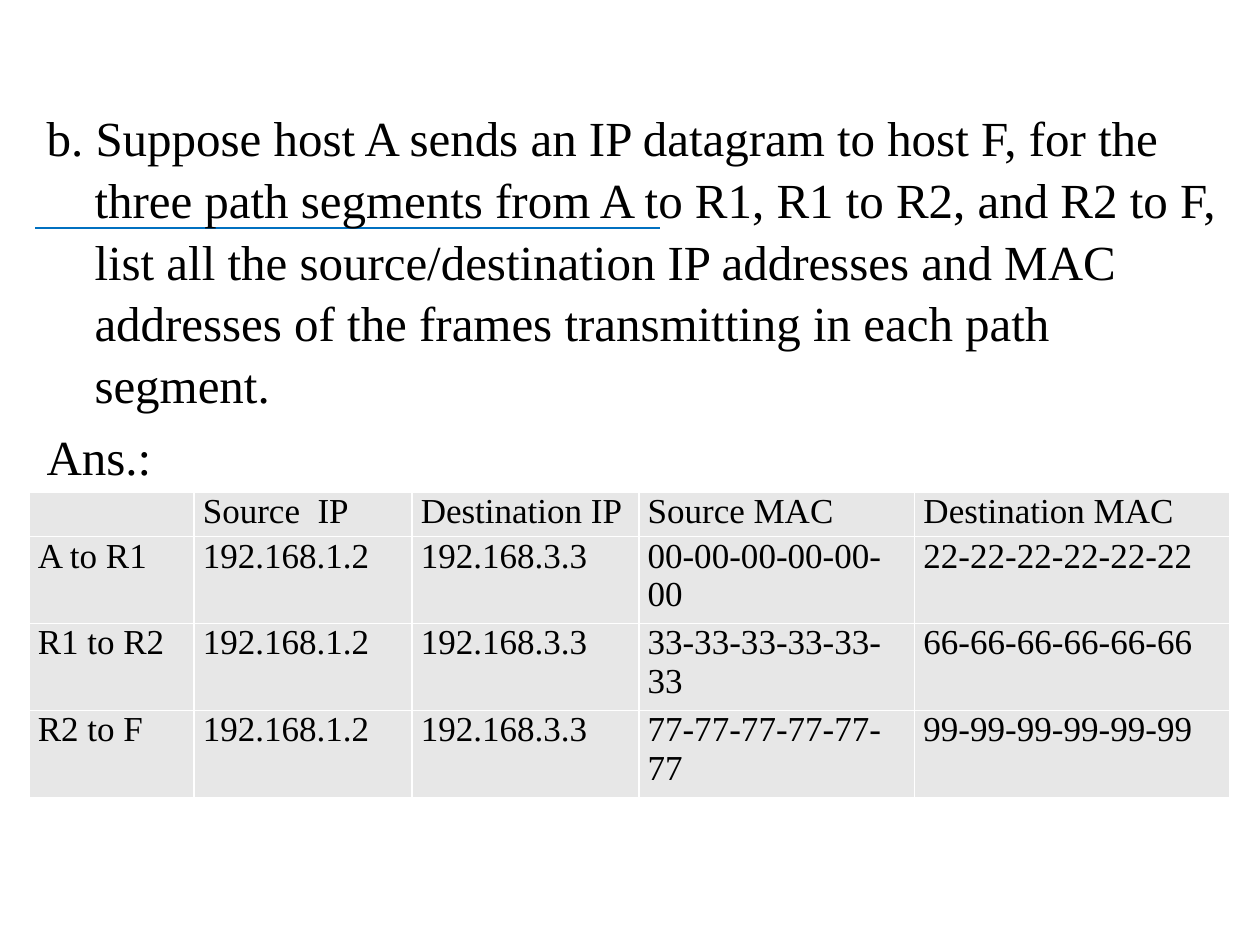
from dataclasses import dataclass

from lxml import etree
from pptx import Presentation
from pptx import util as u
from pptx.dml.color import RGBColor
from pptx.enum import shapes, text
from pptx.oxml import ns


@dataclass(frozen=True)
class Theme:
    font: str = "Times New Roman"
    ink: str = "000000"
    rule: str = "0070C0"
    cell: str = "E7E7E7"
    edge: str = "FFFFFF"
    body: int = 28
    small: int = 20


THEME = Theme()

LINES = [
    "b. Suppose host A sends an IP datagram to host F, for the three path "
    "segments from A to R1, R1 to R2, and R2 to F, list all the "
    "source/destination IP addresses and MAC addresses of the frames "
    "transmitting in each path segment.",
    "Ans.:",
]
HEAD = ["", "Source  IP", "Destination IP", "Source MAC", "Destination MAC"]
# Path segment, first byte pair of the source MAC and of the destination MAC
HOPS = [("A to R1", "00", "22"), ("R1 to R2", "33", "66"), ("R2 to F", "77", "99")]
WIDTHS = [1.31, 1.73, 1.8, 2.19, 2.5]
HEIGHTS = [0.35, 0.69, 0.69, 0.69]


def add_run(para, words, size):
    run = para.add_run()
    run.text = words
    run.font.name = THEME.font
    run.font.size = u.Pt(size)
    run.font.color.rgb = RGBColor.from_string(THEME.ink)


def mac(pair):
    return "-".join([pair] * 6)


def add_rule(slide, left, top, width):
    line = slide.shapes.add_connector(
        shapes.MSO_CONNECTOR.STRAIGHT,
        u.Inches(left), u.Inches(top), u.Inches(left + width), u.Inches(top))
    line.line.color.rgb = RGBColor.from_string(THEME.rule)
    line.line.width = u.Pt(1.25)
    props = line._element.spPr
    etree.SubElement(props, ns.qn("a:effectLst"))
    # Keep the rule behind the text
    slide.shapes._spTree.insert(2, line._element)


def fill_body(slide, left, top, width, height):
    body = slide.placeholders[1]
    body.left, body.top = u.Inches(left), u.Inches(top)
    body.width, body.height = u.Inches(width), u.Inches(height)
    frame = body.text_frame
    frame.word_wrap = True
    frame.auto_size = text.MSO_AUTO_SIZE.NONE
    for i, words in enumerate(LINES):
        para = frame.add_paragraph() if i else frame.paragraphs[0]
        para.line_spacing = 1.05
        para.space_before = u.Pt(0.2 * THEME.body if i else 0)
        # Hanging indent without a bullet
        props = para._p.get_or_add_pPr()
        props.set("marL", str(u.Inches(0.38)))
        props.set("indent", str(u.Inches(-0.38)))
        etree.SubElement(props, ns.qn("a:buNone"))
        add_run(para, words, THEME.body)


def style_cell(cell):
    cell.margin_left = cell.margin_right = u.Inches(0.07)
    cell.margin_top = cell.margin_bottom = 0
    props = cell._tc.get_or_add_tcPr()
    # Borders come before the fill
    for side in ("lnL", "lnR", "lnT", "lnB"):
        edge = etree.SubElement(props, ns.qn("a:" + side), w=str(u.Pt(1)))
        solid = etree.SubElement(edge, ns.qn("a:solidFill"))
        etree.SubElement(solid, ns.qn("a:srgbClr"), val=THEME.edge)
    cell.fill.solid()
    cell.fill.fore_color.rgb = RGBColor.from_string(THEME.cell)


def add_grid(slide, left, top):
    rows = [HEAD] + [
        [hop, "192.168.1.2", "192.168.3.3", mac(src), mac(dest)]
        for hop, src, dest in HOPS]
    grid = slide.shapes.add_table(
        len(rows), len(HEAD), u.Inches(left), u.Inches(top),
        u.Inches(sum(WIDTHS)), u.Inches(sum(HEIGHTS))).table
    for col, width in zip(grid.columns, WIDTHS):
        col.width = u.Inches(width)
    for row, height, words in zip(grid.rows, HEIGHTS, rows):
        row.height = u.Inches(height)
        for cell, word in zip(row.cells, words):
            style_cell(cell)
            if word:
                para = cell.text_frame.paragraphs[0]
                para.alignment = text.PP_ALIGN.JUSTIFY
                add_run(para, word, THEME.small)


def main():
    deck = Presentation()
    deck.slide_width, deck.slide_height = u.Inches(10), u.Inches(7.5)
    slide = deck.slides.add_slide(deck.slide_layouts[1])
    # This slide has body text but no title
    title = slide.shapes.title._element
    title.getparent().remove(title)
    add_rule(slide, 0.28, 1.81, 4.96)
    fill_body(slide, 0.27, 0.78, 9.52, 5.93)
    add_grid(slide, 0.23, 3.91)
    deck.save("out.pptx")


if __name__ == "__main__":
    main()
